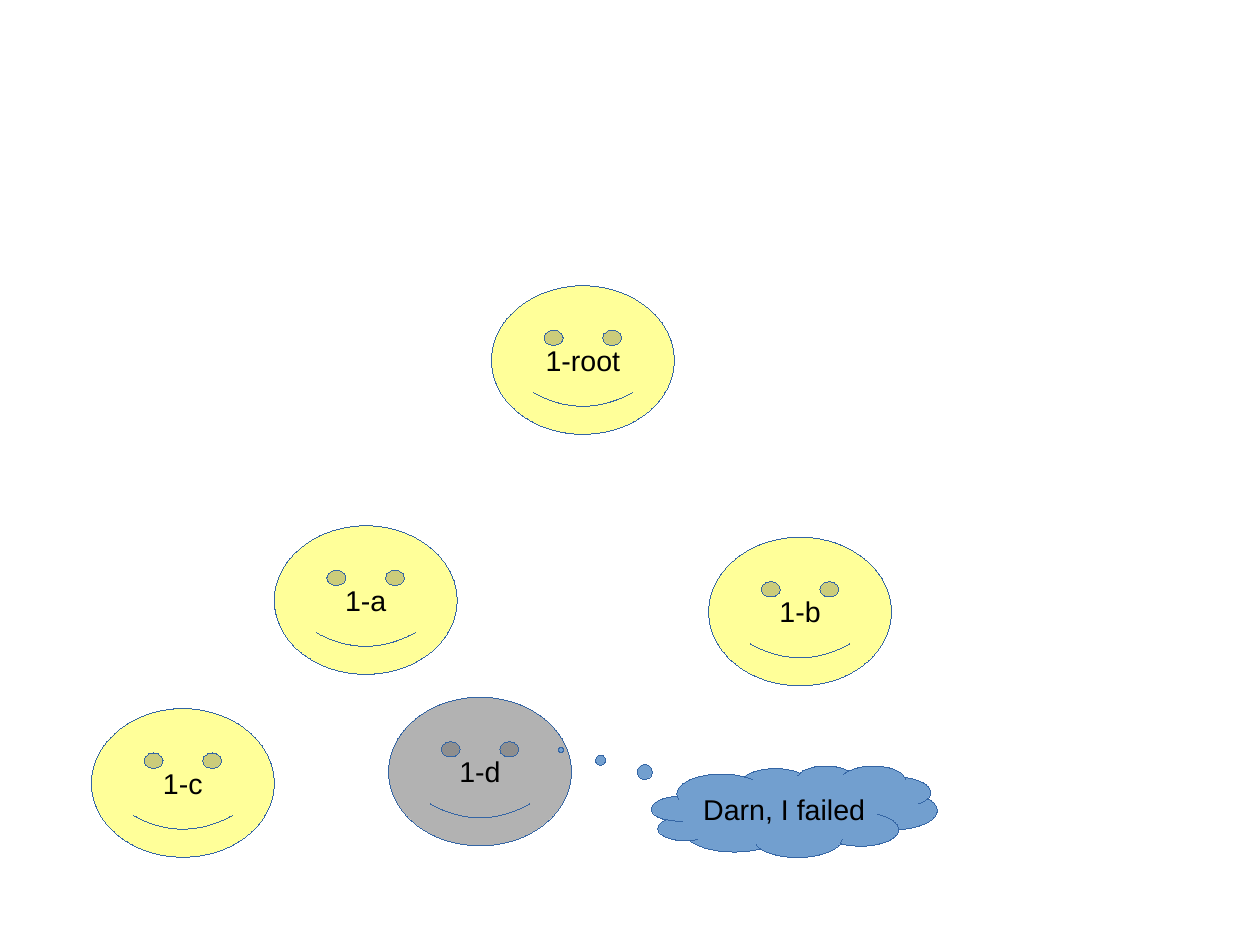
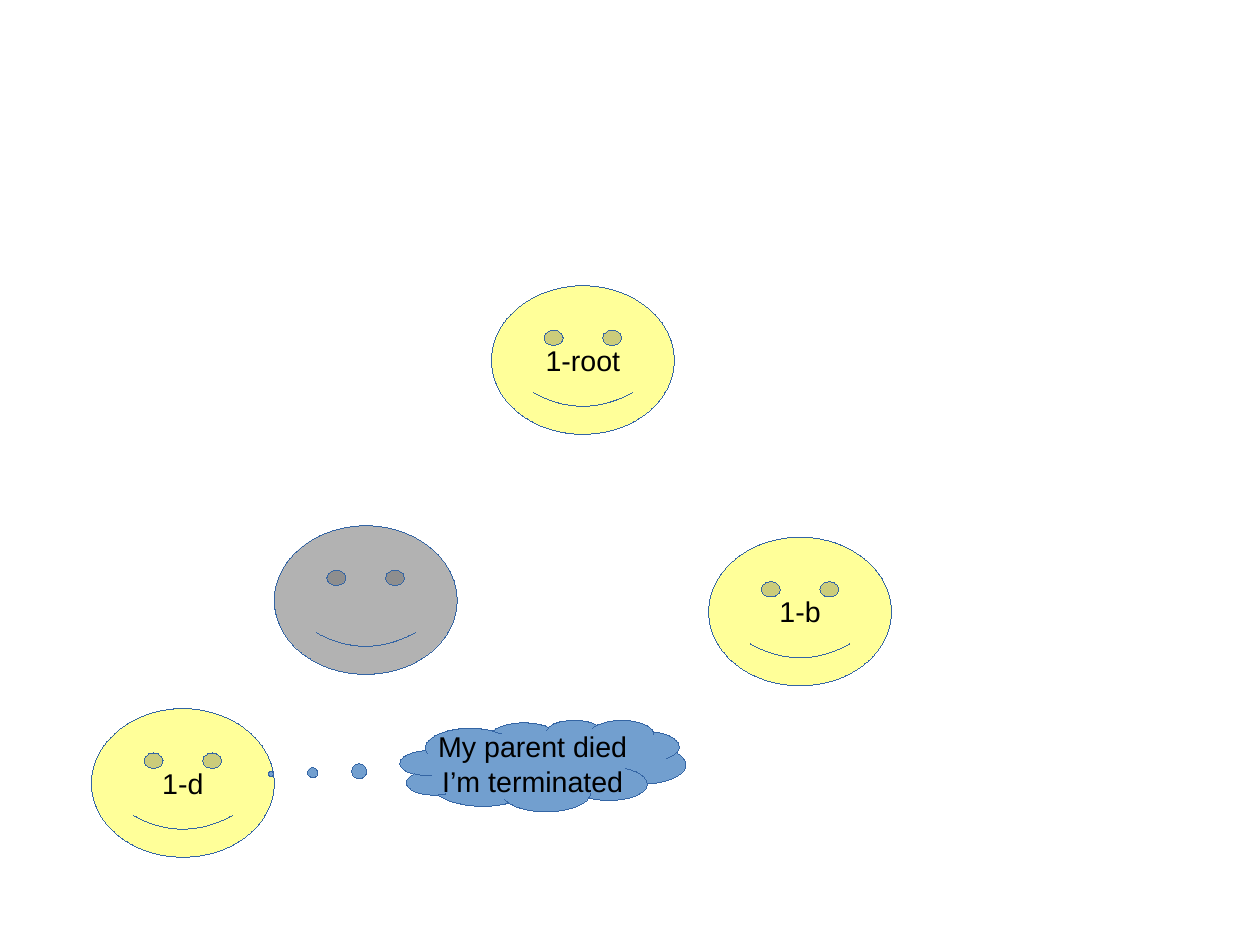
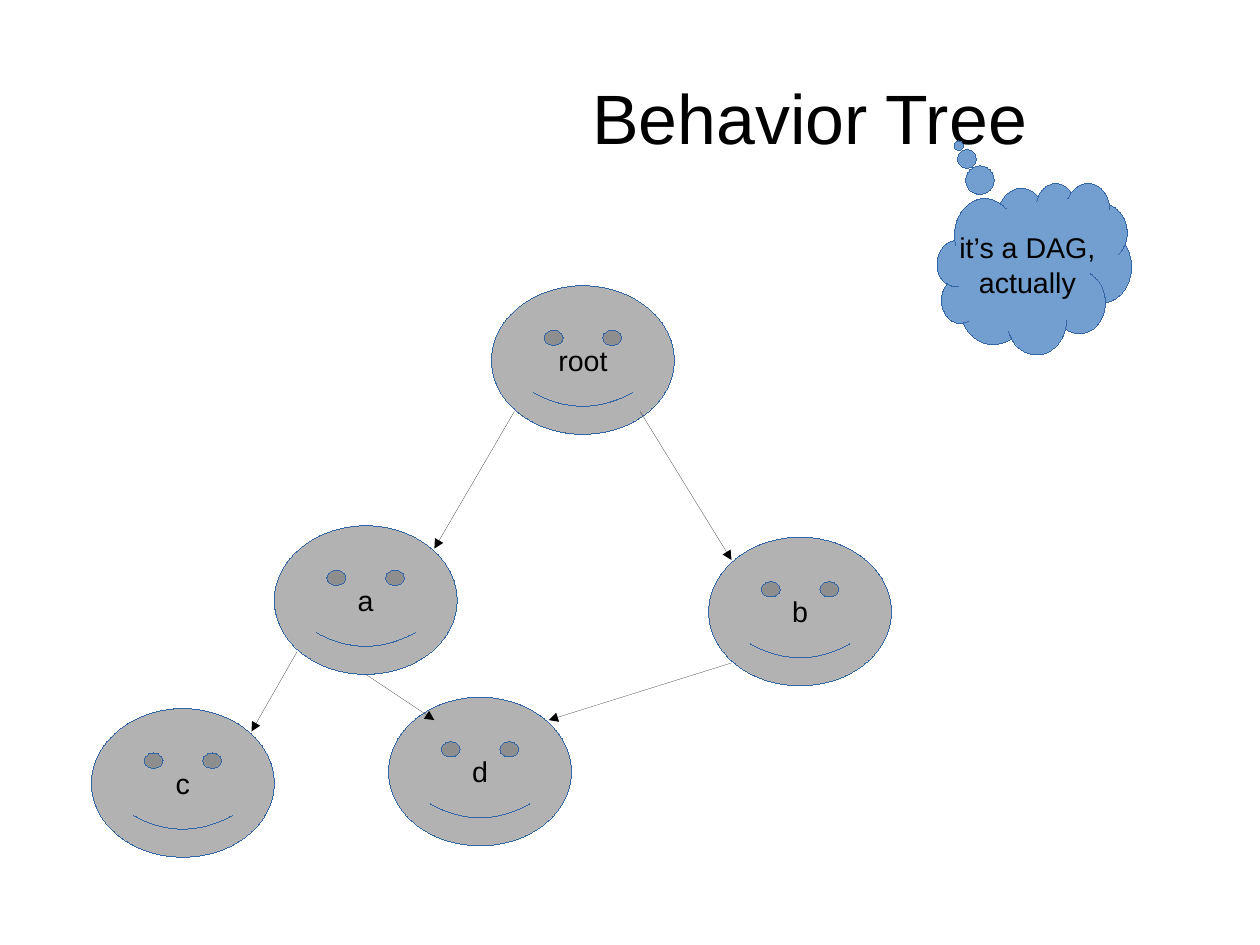
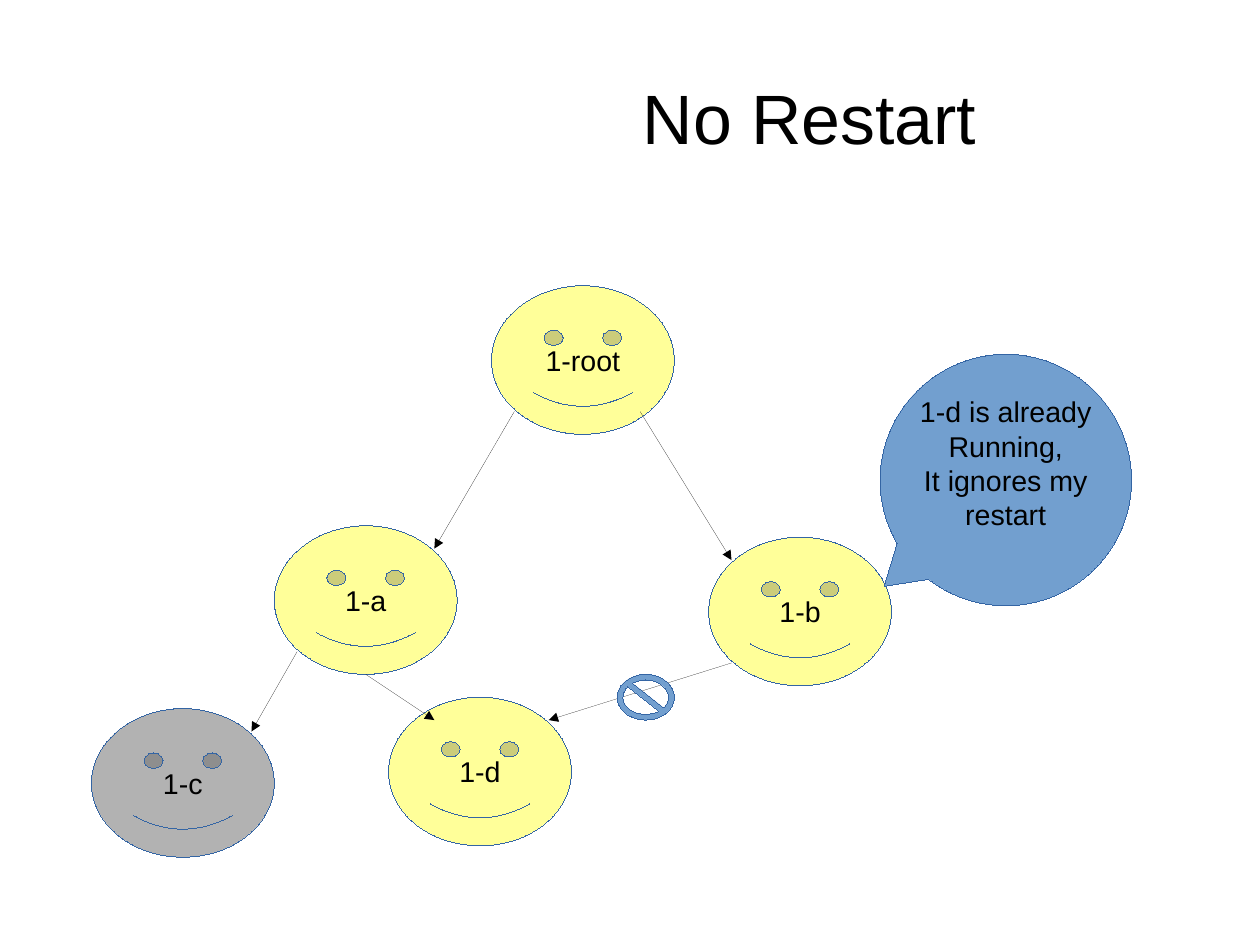
"""Build four slides on how nodes of a behavior tree start, run and fail."""
from dataclasses import dataclass

from lxml.etree import SubElement
from pptx import Presentation
from pptx.dml.color import RGBColor as RGB
from pptx.enum.shapes import MSO_CONNECTOR as LINK, MSO_SHAPE as SHAPE
from pptx.enum.text import MSO_ANCHOR as ANCHOR, PP_ALIGN as ALIGN
from pptx.oxml.ns import qn
from pptx.util import Cm, Inches, Pt


@dataclass(frozen=True)
class Theme:
    font: str = "Arial"
    ink: RGB = RGB(0x00, 0x00, 0x00)
    edge: RGB = RGB(0x34, 0x65, 0xA4)
    live: RGB = RGB(0xFF, 0xFF, 0x99)
    idle: RGB = RGB(0xB2, 0xB2, 0xB2)
    note: RGB = RGB(0x72, 0x9F, 0xCF)
    head: Pt = Pt(44)
    body: Pt = Pt(18)


THEME = Theme()
SPOTS = {"root": (4.3, 2.5), "b": (6.2, 4.7), "a": (2.4, 4.6),
         "c": (0.8, 6.2), "d": (3.4, 6.1)}
FACE = (1.6, 1.3)
EDGES = [((4.5, 3.6), (3.8, 4.8)), ((2.6, 5.7), (2.2, 6.4)),
         ((3.2, 5.9), (3.8, 6.3)), ((5.6, 3.6), (6.4, 4.9)),
         ((6.4, 5.8), (4.8, 6.3))]


def write(frame, text, size):
    frame.text = text
    frame.vertical_anchor = ANCHOR.MIDDLE
    for para in frame.paragraphs:
        para.alignment = ALIGN.CENTER
        for run in para.runs:
            run.font.name = THEME.font
            run.font.size = size
            run.font.color.rgb = THEME.ink


def add_title(slide, text):
    title = slide.shapes.title
    title.left, title.top = Inches(3.7), Inches(0.33)
    title.width, title.height = Inches(6.77), Inches(1.38)
    frame = title.text_frame
    frame.margin_left = frame.margin_right = 0
    frame.margin_top = frame.margin_bottom = 0
    write(frame, text, THEME.head)


def draw_hair(line, color):
    line.color.rgb = color
    stroke = line._get_or_add_ln()
    stroke.set("w", "0")
    return stroke


def add_form(slide, kind, box, fill, adjust, text=""):
    form = slide.shapes.add_shape(kind, *map(Inches, box))
    form.shadow.inherit = False
    form.fill.solid()
    form.fill.fore_color.rgb = fill
    draw_hair(form.line, THEME.edge)
    for place, value in enumerate(adjust):
        form.adjustments[place] = value
    if text:
        form.text_frame.word_wrap = False
        write(form.text_frame, text, THEME.body)
    return form


def add_faces(slide, names, idle):
    for spot, name in names.items():
        fill = THEME.idle if spot in idle else THEME.live
        add_form(slide, SHAPE.SMILEY_FACE, SPOTS[spot] + FACE, fill, [0.093], name)


def add_cloud(slide, box, tail, text):
    add_form(slide, SHAPE.CLOUD_CALLOUT, box, THEME.note, tail, text)


def add_edges(slide):
    for start, end in EDGES:
        edge = slide.shapes.add_connector(LINK.STRAIGHT, *map(Inches, start + end))
        stroke = draw_hair(edge.line, THEME.ink)
        SubElement(stroke, qn("a:tailEnd"), type="triangle")
        SubElement(edge._element.spPr, qn("a:effectLst"))


def add_slide(deck, title=""):
    slide = deck.slides.add_slide(deck.slide_layouts[5 if title else 6])
    if title:
        add_title(slide, title)
    return slide


def main():
    deck = Presentation()
    deck.slide_width, deck.slide_height = Cm(28), Cm(21)
    run_names = {spot: f"1-{spot}" for spot in SPOTS}

    slide = add_slide(deck)
    add_faces(slide, run_names, "d")
    add_cloud(slide, (5.7, 6.7, 2.5, 0.8), (-0.816, -0.675), "Darn, I failed")

    slide = add_slide(deck)
    add_faces(slide, {"root": "1-root", "b": "1-b", "a": "", "c": "1-d"}, "a")
    add_cloud(slide, (3.5, 6.3, 2.5, 0.8), (-0.951, 0.088),
              "My parent died\nI’m terminated")

    slide = add_slide(deck, "Behavior Tree")
    add_faces(slide, {spot: spot for spot in SPOTS}, SPOTS)
    add_edges(slide)
    add_cloud(slide, (8.2, 1.6, 1.7, 1.5), (-0.389, -0.717),
              "it’s a DAG,\nactually")

    slide = add_slide(deck, "No Restart")
    add_faces(slide, run_names, "c")
    add_edges(slide)
    add_form(slide, SHAPE.NO_SYMBOL, (5.4, 5.9, 0.5, 0.4), THEME.note, [0.125])
    speech = add_form(slide, SHAPE.OVAL_CALLOUT, (7.7, 3.1, 2.2, 2.2), THEME.note,
                      (-0.484, 0.423),
                      "1-d is already\nRunning,\nIt ignores my\nrestart")
    speech.text_frame.margin_bottom = Inches(0.35)

    deck.save("out.pptx")


if __name__ == "__main__":
    main()
